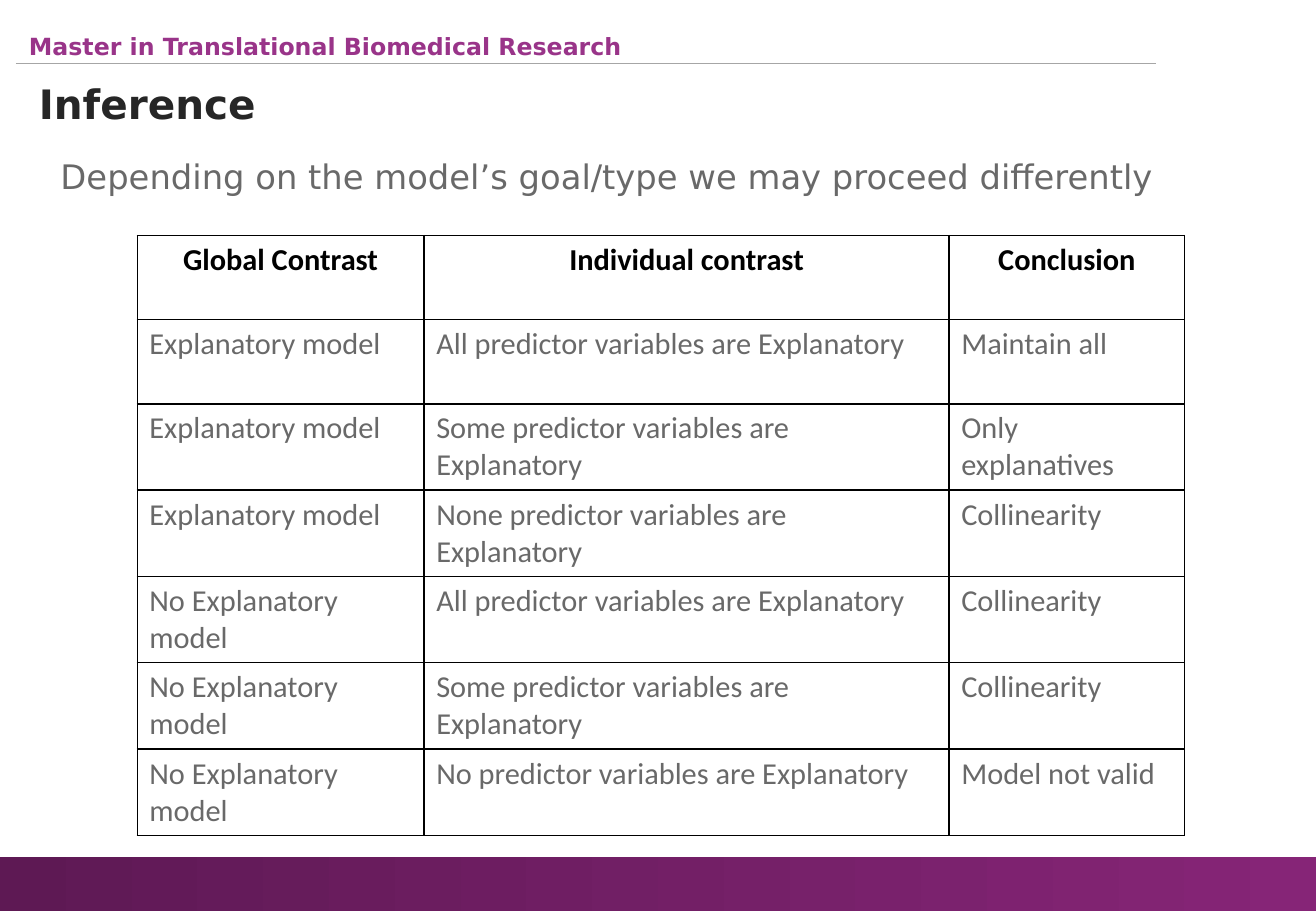
from dataclasses import dataclass

from lxml import etree
from pptx import Presentation
from pptx import util as u
from pptx.dml.color import RGBColor
from pptx.enum import shapes, text
from pptx.oxml import ns

WIDTH, HEIGHT = u.Inches(10.83), u.Inches(7.5)
HEX = {"dark": "5E1954", "plum": "862577", "brand": "993489", "rule": "A6A6A6",
       "ink": "262626", "grey": "696969", "black": "000000"}
SANS, BODY = "DejaVu Sans", "Calibri"
LEFT, CENTER, JUSTIFY = (text.PP_ALIGN.LEFT, text.PP_ALIGN.CENTER,
                         text.PP_ALIGN.JUSTIFY)


@dataclass
class Box:
    """A place on the slide, in percent of its width and height."""
    left: float
    top: float
    width: float
    height: float

    def place(self) -> tuple[int, int, int, int]:
        return (across(self.left), down(self.top),
                across(self.width), down(self.height))


@dataclass
class Style:
    size: int
    color: str
    bold: bool = False
    face: str = SANS
    align: text.PP_ALIGN = LEFT


@dataclass
class Label:
    words: str
    box: Box
    style: Style


BAND = Box(0, 94.13, 100, 5.87)
RULE = Box(1.2, 6.93, 86.61, 0)
GRID = Box(10.43, 25.87, 79.6, 64.6)
COLUMNS = (21.8, 39.9, 17.9)
TITLE = Label("Inference", Box(2.03, 8, 90.77, 6.27), Style(24, "ink", True))
LABELS = (
    Label("Master in Translational Biomedical Research",
          Box(1.29, 2.8, 64.73, 4.4), Style(14, "brand", True)),
    Label("Depending on the model’s goal/type we may proceed differently",
          Box(3.69, 16.4, 86.33, 6.13), Style(20, "grey", align=JUSTIFY)),
)
HEAD = Style(18, "black", True, BODY, CENTER)
CELL = Style(18, "grey", False, BODY)
ROWS = (
    ("Global Contrast", "Individual contrast", "Conclusion"),
    ("Explanatory model", "All predictor variables are Explanatory", "Maintain all"),
    ("Explanatory model", "Some predictor variables are Explanatory", "Only explanatives"),
    ("Explanatory model", "None predictor variables are Explanatory", "Collinearity"),
    ("No Explanatory model", "All predictor variables are Explanatory", "Collinearity"),
    ("No Explanatory model", "Some predictor variables are Explanatory", "Collinearity"),
    ("No Explanatory model", "No predictor variables are Explanatory", "Model not valid"),
)


def across(share: float) -> int:
    return round(WIDTH * share / 100)


def down(share: float) -> int:
    return round(HEIGHT * share / 100)


def color(name: str) -> RGBColor:
    return RGBColor.from_string(HEX[name])


def write(frame, words: str, style: Style) -> None:
    frame.text = words
    para = frame.paragraphs[0]
    para.alignment = style.align
    font = para.font
    font.name, font.size, font.bold = style.face, u.Pt(style.size), style.bold
    font.color.rgb = color(style.color)


def label(shape, item: Label) -> None:
    """Place a text shape and fill it."""
    shape.left, shape.top, shape.width, shape.height = item.box.place()
    frame = shape.text_frame
    frame.word_wrap = True
    frame.auto_size = text.MSO_AUTO_SIZE.NONE
    frame.vertical_anchor = text.MSO_ANCHOR.TOP
    write(frame, item.words, item.style)


def band(slide) -> None:
    bar = slide.shapes.add_shape(shapes.MSO_SHAPE.RECTANGLE, *BAND.place())
    bar.shadow.inherit = False
    bar.line.fill.background()
    bar.fill.gradient()
    bar.fill.gradient_angle = 0
    for stop, name, spot in zip(bar.fill.gradient_stops, ("dark", "plum"), (0, 1)):
        stop.color.rgb = color(name)
        stop.position = spot


def rule(slide) -> None:
    left, top, width, _ = RULE.place()
    line = slide.shapes.add_connector(shapes.MSO_CONNECTOR.STRAIGHT,
                                      left, top, left + width, top)
    line.line.color.rgb = color("rule")
    line.line.width = u.Pt(0.75)
    etree.SubElement(line.element.spPr, ns.qn("a:effectLst"))


def border(cell) -> None:
    props = cell._tc.get_or_add_tcPr()
    for side in ("lnL", "lnR", "lnT", "lnB"):
        edge = etree.SubElement(props, ns.qn(f"a:{side}"), w=str(u.Pt(1)))
        fill = etree.SubElement(edge, ns.qn("a:solidFill"))
        etree.SubElement(fill, ns.qn("a:srgbClr"), val=HEX["black"])


def grid(slide) -> None:
    frame = slide.shapes.add_table(len(ROWS), len(COLUMNS), *GRID.place())
    for mark in frame.element.xpath(".//a:tableStyleId"):
        mark.getparent().remove(mark)
    table = frame.table
    table.first_row = table.horz_banding = False
    for column, share in zip(table.columns, COLUMNS):
        column.width = across(share)
    for r, row in enumerate(ROWS):
        for c, words in enumerate(row):
            cell = table.cell(r, c)
            border(cell)
            cell.fill.background()
            write(cell.text_frame, words, CELL if r else HEAD)


def main() -> None:
    deck = Presentation()
    deck.slide_width, deck.slide_height = WIDTH, HEIGHT
    slide = deck.slides.add_slide(deck.slide_layouts.get_by_name("Title Only"))
    band(slide)
    rule(slide)
    grid(slide)
    label(slide.shapes.title, TITLE)
    for item in LABELS:
        label(slide.shapes.add_textbox(*item.box.place()), item)
    deck.save("out.pptx")


if __name__ == "__main__":
    main()
